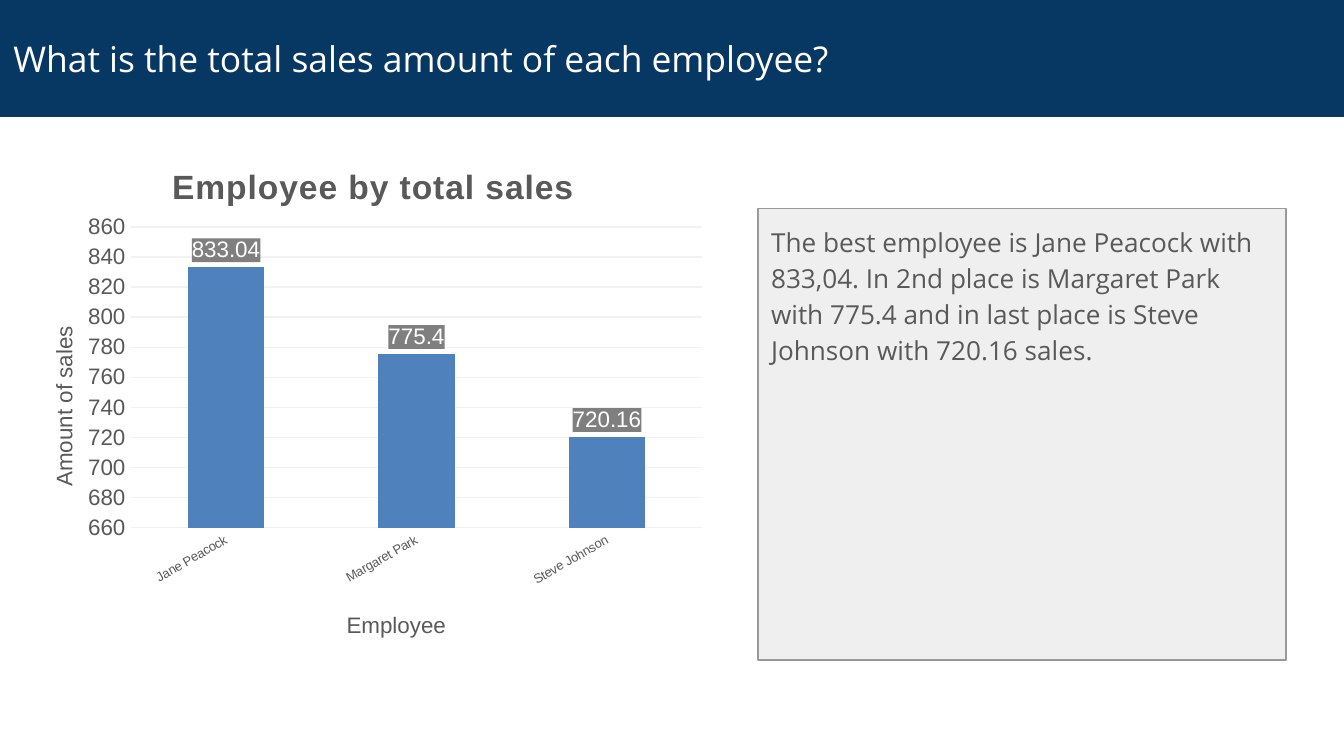
from dataclasses import dataclass

from lxml.etree import SubElement
from pptx import Presentation
from pptx.chart.data import CategoryChartData
from pptx.dml.color import RGBColor
from pptx.enum.chart import XL_CHART_TYPE as ChartType
from pptx.enum.chart import XL_LABEL_POSITION as LabelPosition
from pptx.enum.chart import XL_TICK_MARK as TickMark
from pptx.enum.shapes import MSO_SHAPE as ShapeType
from pptx.enum.text import MSO_ANCHOR as Anchor
from pptx.enum.text import MSO_AUTO_SIZE as AutoSize
from pptx.enum.text import PP_ALIGN as Align
from pptx.oxml import parse_xml
from pptx.oxml.ns import qn
from pptx.util import Pt

NAVY, ORANGE, GREY, WHITE = "073763", "FFAB40", "595959", "FFFFFF"
PANEL, OUTLINE, GRID, LABEL = "EFEFEF", "999999", "F2F2F2", "7F7F7F"
DRAWING = 'xmlns:a="http://schemas.openxmlformats.org/drawingml/2006/main"'
CHART = 'xmlns:c="http://schemas.openxmlformats.org/drawingml/2006/chart"'


@dataclass
class Box:
    left: float
    top: float
    width: float
    height: float

    def lengths(self):
        return Pt(self.left), Pt(self.top), Pt(self.width), Pt(self.height)


@dataclass
class ChartTitle:
    owner: object
    text: str
    size: float
    x: float
    y: float
    bold: bool = False


def colour(value: str) -> RGBColor:
    return RGBColor.from_string(value)


def style_font(font, name: str, size: float, value: str, bold: bool = False) -> None:
    font.name, font.size, font.bold = name, Pt(size), bold
    font.color.rgb = colour(value)


def fill_solid(shape, value: str) -> None:
    shape.fill.solid()
    shape.fill.fore_color.rgb = colour(value)


def write_text(shape, text: str, size: float, value: str, anchor):
    frame = shape.text_frame
    frame.word_wrap, frame.auto_size = True, AutoSize.NONE
    frame.vertical_anchor = anchor
    frame.margin_left = frame.margin_right = Pt(7.2)
    frame.margin_top = frame.margin_bottom = Pt(7.2)
    para = frame.paragraphs[0]
    para.alignment = Align.LEFT
    span = para.add_run()
    span.text = text
    style_font(span.font, "Open Sans", size, value)
    return para


def set_layout(element, index: int, **places: float) -> None:
    """Place a chart part by fractions of the chart area."""
    for old in element.findall(qn("c:layout")):
        element.remove(old)
    layout = parse_xml(f"<c:layout {CHART}><c:manualLayout/></c:layout>")
    manual = layout[0]
    if "w" in places:
        SubElement(manual, qn("c:layoutTarget")).set("val", "inner")
    for name in ("x", "y"):
        SubElement(manual, qn(f"c:{name}Mode")).set("val", "edge")
    for name, value in places.items():
        SubElement(manual, qn(f"c:{name}")).set("val", str(value))
    element.insert(index, layout)


def add_chart_title(title: ChartTitle) -> None:
    holder = getattr(title.owner, "chart_title", None) or title.owner.axis_title
    span = holder.text_frame.paragraphs[0].add_run()
    span.text = title.text
    style_font(span.font, "Arial", title.size, GREY, title.bold)
    if title.bold:
        span.font._element.set("spc", "50")
    set_layout(holder._element, 1, x=title.x, y=title.y)


def style_axis(axis, size: float) -> None:
    axis.major_tick_mark = axis.minor_tick_mark = TickMark.NONE
    axis.format.line.fill.background()
    style_font(axis.tick_labels.font, "Arial", size, GREY)


def style_series(series) -> None:
    properties = series.format._element if hasattr(series.format, "_element") else None
    if properties is None:
        properties = series._element.get_or_add_spPr()
    properties.insert(0, parse_xml(
        f'<a:gradFill {DRAWING}><a:gsLst>'
        f'<a:gs pos="0"><a:srgbClr val="{ORANGE}"/></a:gs>'
        f'<a:gs pos="50000"><a:srgbClr val="{ORANGE}"/></a:gs>'
        f'<a:gs pos="100000"><a:srgbClr val="{ORANGE}"><a:alpha val="0"/></a:srgbClr></a:gs>'
        f'</a:gsLst><a:lin ang="5400000" scaled="0"/></a:gradFill>'))
    labels = series.data_labels
    labels.show_value = True
    labels.position = LabelPosition.OUTSIDE_END
    style_font(labels.font, "Arial", 12, WHITE)
    labels._element.find(qn("c:txPr")).addprevious(parse_xml(
        f'<c:spPr {CHART} {DRAWING}><a:solidFill><a:srgbClr val="{LABEL}"/>'
        f'</a:solidFill></c:spPr>'))


def add_sales_chart(page, box: Box) -> None:
    data = CategoryChartData()
    data.categories = ["Jane Peacock", "Margaret Park", "Steve Johnson"]
    data.add_series("Series 1", (833.04, 775.4, 720.16))
    chart = page.shapes.add_chart(ChartType.COLUMN_CLUSTERED, *box.lengths(), data).chart
    chart.has_legend = False
    style_font(chart.font, "Arial", 10, "000000")
    names, amounts = chart.category_axis, chart.value_axis
    style_axis(names, 7)
    names.tick_labels.font  # the text properties hold the label rotation
    names._element.find(qn("c:txPr")).find(qn("a:bodyPr")).set("rot", "-1800000")
    style_axis(amounts, 12)
    amounts.minimum_scale, amounts.maximum_scale, amounts.major_unit = 660, 860, 20
    grid = amounts.major_gridlines.format.line
    grid.color.rgb, grid.width = colour(GRID), Pt(0.75)
    plot = chart.plots[0]
    plot.gap_width, plot.vary_by_categories = 150, False
    style_series(plot.series[0])
    for title in (
        ChartTitle(chart, "Employee by total sales", 18, 0.22, 0.05, True),
        ChartTitle(names, "Employee", 12, 0.47, 0.9),
        ChartTitle(amounts, "Amount of sales", 12, 0.05, 0.36),
    ):
        add_chart_title(title)
    plot_area = chart._chartSpace.chart.plotArea
    set_layout(plot_area, 0, x=0.17, y=0.18, w=0.81, h=0.57)


def add_heading(page, box: Box) -> None:
    heading = page.shapes.title
    heading.left, heading.top, heading.width, heading.height = box.lengths()
    fill_solid(heading, NAVY)
    write_text(heading, "What is the total sales amount of each employee?", 19, WHITE,
               Anchor.MIDDLE)


def add_summary(page, box: Box) -> None:
    panel = page.shapes.add_shape(ShapeType.RECTANGLE, *box.lengths())
    panel.shadow.inherit = False
    fill_solid(panel, PANEL)
    panel.line.color.rgb, panel.line.width = colour(OUTLINE), Pt(0.75)
    para = write_text(
        panel,
        "The best employee is Jane Peacock with 833,04. In 2nd place is Margaret Park "
        "with 775.4 and in last place is Steve Johnson with 720.16 sales.",
        14, GREY, Anchor.TOP)
    para.line_spacing, para.space_after = 1.15, Pt(16)


def main() -> None:
    deck = Presentation()
    deck.slide_width, deck.slide_height = Pt(720), Pt(405)
    page = deck.slides.add_slide(deck.slide_layouts[5])
    add_summary(page, Box(406, 111.6, 283, 242))
    add_heading(page, Box(0, 0, 720, 62.6))
    add_sales_chart(page, Box(5.8, 70.6, 378, 283))
    deck.save("out.pptx")


if __name__ == "__main__":
    main()
